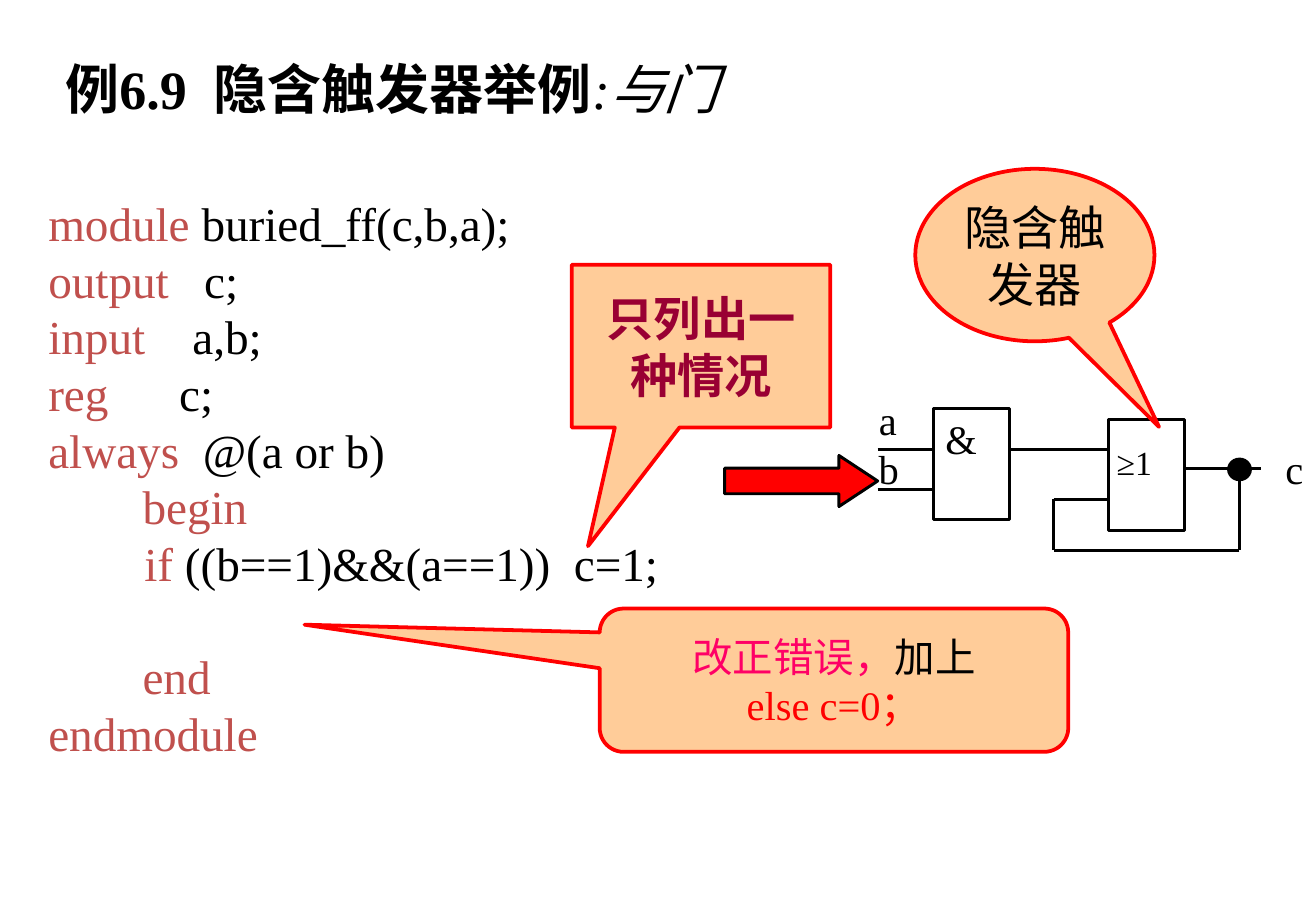
from lxml.etree import SubElement
from pptx import Presentation
from pptx.dml.color import RGBColor
from pptx.enum.shapes import MSO_CONNECTOR, MSO_SHAPE
from pptx.enum.text import MSO_ANCHOR, PP_ALIGN
from pptx.oxml.ns import qn
from pptx.util import Inches, Pt

COLORS = {
    "ink": "000000", "keyword": "C0504D", "red": "FF0000",
    "peach": "FFCC99", "maroon": "990033", "pink": "FF0066",
}
FONT = "Times New Roman"
CELL = Inches(0.1)  # one column or row of the slide grid

presentation = Presentation()
presentation.slide_width = Inches(10.84)
presentation.slide_height = Inches(7.5)
slide = presentation.slides.add_slide(presentation.slide_layouts[6])
shapes = slide.shapes


def write(frame, lines, size):
    """Fill a frame; each line is a list of (text, color, bold, italic)."""
    for number, line in enumerate(lines):
        paragraph = frame.paragraphs[0] if number == 0 else frame.add_paragraph()
        for text, color, bold, italic in line:
            run = paragraph.add_run()
            run.text = text
            run.font.name = FONT
            run.font.size = Pt(size)
            run.font.bold = bold
            run.font.italic = italic
            run.font.color.rgb = RGBColor.from_string(COLORS[color])


def draw(preset, place, fill, line, weight, adjustments=()):
    """Add a preset shape at grid (column, row, columns, rows)."""
    shape = shapes.add_shape(preset, *[int(CELL * cells) for cells in place])
    shape.shadow.inherit = False
    if fill:
        shape.fill.solid()
        shape.fill.fore_color.rgb = RGBColor.from_string(COLORS[fill])
    else:
        shape.fill.background()
    shape.line.color.rgb = RGBColor.from_string(COLORS[line])
    shape.line.width = Pt(weight)
    for index, value in enumerate(adjustments):
        shape.adjustments[index] = value
    return shape


# Arrow from the code to the circuit
draw(MSO_SHAPE.RIGHT_ARROW, (59.7, 37.5, 12.6, 4.2), "red", "ink", 1.75, (0.5, 0.759))

# Gates and the output node
for gate_column, gate_row in ((76.9, 33.6), (91.3, 34.5)):
    draw(MSO_SHAPE.RECTANGLE, (gate_column, gate_row, 6.3, 9.2), None, "ink", 1.75)

# Wires: inputs, link between gates, output and feedback loop
input_a, input_b, output_row, loop_row, feedback_row = 37, 40.3, 38.6, 45.3, 41.1
node_column, loop_column = 102.1, 86.8
wires = [
    (72.3, input_a, 76.9, input_a),
    (72.3, input_b, 76.9, input_b),
    (83.2, input_a, 91.3, input_a),
    (97.6, output_row, 103.9, output_row),
    (node_column, output_row, node_column, loop_row),
    (node_column, loop_row, loop_column, loop_row),
    (loop_column, loop_row, loop_column, feedback_row),
    (loop_column, feedback_row, 91.3, feedback_row),
]
for ends in wires:
    wire = shapes.add_connector(MSO_CONNECTOR.STRAIGHT, *[int(CELL * end) for end in ends])
    wire.line.color.rgb = RGBColor.from_string(COLORS["ink"])
    wire.line.width = Pt(1.75)
    SubElement(wire._element.spPr, qn("a:effectLst"))
draw(MSO_SHAPE.OVAL, (101.2, 37.8, 1.8, 1.7), "ink", "ink", 1.75)

# Title and circuit labels
labels = [
    ((4.4, 4.1, 60, 6.4), 32, [("例6.9  隐含触发器举例", "ink", True, False),
                               (":与门", "ink", False, True)]),
    ((76.9, 33.6, 4.6, 5), 24, [("&", "ink", False, False)]),
    ((91, 35.9, 4.9, 4.4), 20, [("≥1", "ink", False, False)]),
    ((71.4, 32, 3.5, 5), 24, [("a", "ink", False, False)]),
    ((71.4, 36.1, 4, 5), 24, [("b", "ink", False, False)]),
    ((104.9, 36.1, 3.5, 5), 24, [("c", "ink", False, False)]),
]
for place, size, line in labels:
    label = shapes.add_textbox(*[int(CELL * cells) for cells in place])
    label.text_frame.word_wrap = False
    write(label.text_frame, [line], size)

# Verilog code: indent, keyword, rest of the line
code_lines = [
    ("", "module", " buried_ff(c,b,a);"),
    ("", "output", "   c;"),
    ("", "input", "    a,b;"),
    ("", "reg", "      c;"),
    ("", "always", "  @(a or b)"),
    ("        ", "begin", ""),
    ("\t   ", "if", " ((b==1)&&(a==1))  c=1;"),
    ("        ", "end", ""),
    ("", "endmodule", ""),
]
LINE_HEIGHT = Pt(33.6)
code = shapes.add_textbox(*[int(CELL * cells) for cells in (3, 15.5, 63, 47.7)]).text_frame
code.word_wrap = True
write(code, [[(indent + keyword, "keyword", False, False)]
             + ([(rest, "ink", False, False)] if rest else [])
             for indent, keyword, rest in code_lines], 28)
for paragraph in code.paragraphs:
    paragraph.line_spacing = LINE_HEIGHT
    if paragraph.text.strip() == "end":
        paragraph.space_before = LINE_HEIGHT  # room for the missing else

# Callouts
callouts = [
    (MSO_SHAPE.RECTANGULAR_CALLOUT, (47.1, 21.8, 21.3, 13.4), (-0.437, 1.229), 28,
     [[("只列出一种情况", "maroon", True, False)]]),
    (MSO_SHAPE.OVAL_CALLOUT, (75.4, 13.9, 19.7, 14.2), (0.519, 0.996), 28,
     [[("隐含触发器", "ink", False, False)]]),
    (MSO_SHAPE.ROUNDED_RECTANGULAR_CALLOUT, (49.4, 50.1, 38.6, 11.8),
     (-1.13, -0.387, 0.167), 24,
     [[("改正错误，", "pink", False, False), ("加上", "ink", False, False)],
      [("else c=0；", "red", False, False)]]),
]
for preset, place, adjustments, size, lines in callouts:
    frame = draw(preset, place, "peach", "red", 2.25, adjustments).text_frame
    frame.word_wrap = True
    frame.vertical_anchor = MSO_ANCHOR.MIDDLE
    write(frame, lines, size)
    for paragraph in frame.paragraphs:
        paragraph.alignment = PP_ALIGN.CENTER

presentation.save("out.pptx")
